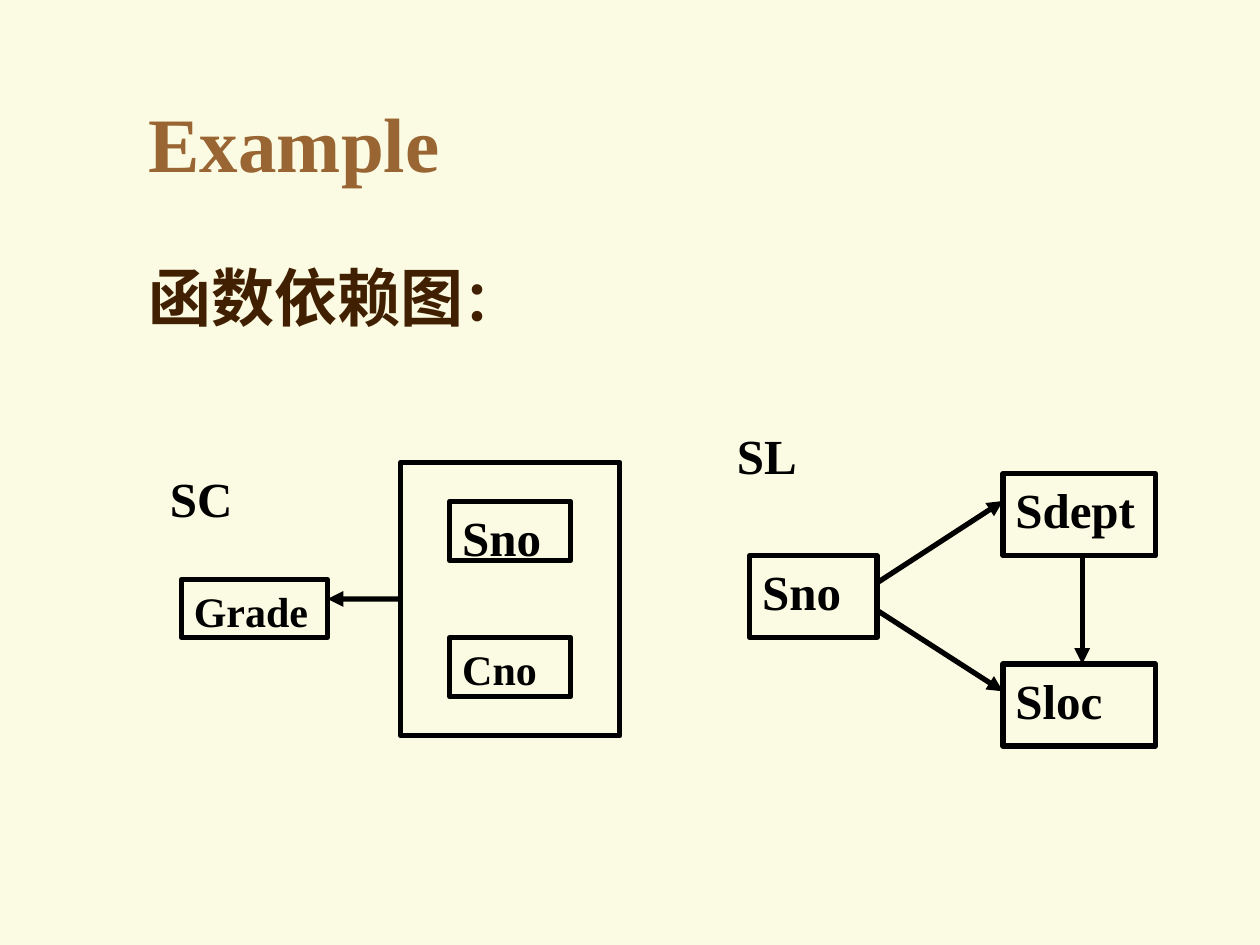
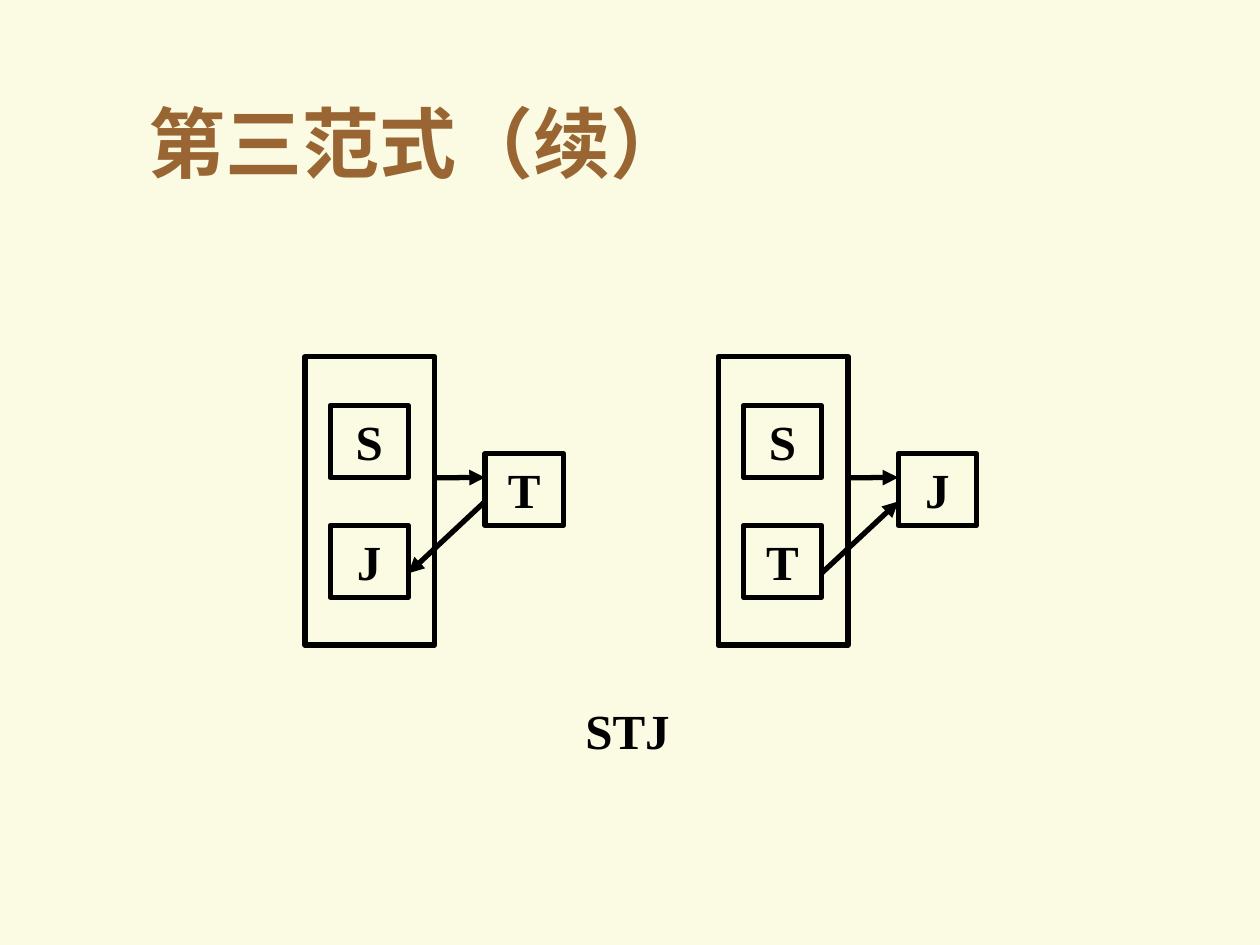
from lxml import etree
from pptx import Presentation
from pptx import util as u
from pptx.dml.color import RGBColor
from pptx.enum import shapes, text
from pptx.oxml.ns import qn

COLORS = {"paper": "FBFAE2", "title": "996633", "body": "402000", "ink": "000000"}
FONT = "Times New Roman"
LINE = 3
SIZE = 28
LEFT, CENTER = text.PP_ALIGN.LEFT, text.PP_ALIGN.CENTER
THIRD = 1 / 3
CONTENT_LEFT, CONTENT_W = 1.08, 8.5

# Content: boxes are name: (text, left, top, width, height, size);
# arrows join (box, share of width, share of height) to another such point
EXAMPLE_TITLE = "Example"
EXAMPLE_BODY = [("函数依赖图", 36), ("：", 32)]
SC = {
    "labels": [("SC", 1.25, 3.67, 0.97, 0.46, SIZE)],
    "boxes": {
        "key": ("", 3.18, 3.67, 1.74, 2.17, SIZE),
        "sno": ("Sno", 3.57, 3.98, 0.96, 0.47, SIZE),
        "cno": ("Cno", 3.57, 5.06, 0.96, 0.47, 24),
        "grade": ("Grade", 1.44, 4.6, 1.16, 0.46, 24),
    },
    "arrows": [(("key", 0, 0.5), ("grade", 1, THIRD))],
}
SL = {
    "labels": [("SL", 5.75, 3.33, 1.21, 0.65, SIZE)],
    "boxes": {
        "sno": ("Sno", 5.95, 4.41, 1.01, 0.65, SIZE),
        "sdept": ("Sdept", 7.96, 3.76, 1.21, 0.65, SIZE),
        "sloc": ("Sloc", 7.96, 5.27, 1.21, 0.65, SIZE),
    },
    "arrows": [
        (("sno", 1, THIRD), ("sdept", 0, THIRD)),
        (("sno", 1, 2 * THIRD), ("sloc", 0, THIRD)),
        (("sdept", 0.52, 1), ("sloc", 0.52, 0)),
    ],
}

THIRD_NF_TITLE = "第三范式（续）"
STJ_LABEL = ("STJ", 4.47, 5.51, 1.02, 0.57, SIZE)
# Frame left, upper key, lower key, dependent, does the dependent determine the lower key
STJ_KEYS = [(2.42, "S", "J", "T", True), (5.7, "S", "T", "J", False)]


def key_diagram(left, upper, lower, dependent, back):
    """Two attributes framed as a key, with a dependent attribute on the right."""
    w, h = 0.62, 0.57
    slant = [("dependent", 0, 2 * THIRD), ("lower", 1, 2 * THIRD)]
    return {
        "labels": [],
        "boxes": {
            "key": ("", left, 2.83, 1.03, 2.29, SIZE),
            "upper": (upper, left + 0.2, 3.22, w, h, SIZE),
            "lower": (lower, left + 0.2, 4.17, w, h, SIZE),
            "dependent": (dependent, left + 1.43, 3.6, w, h, SIZE),
        },
        "arrows": [
            (("key", 1, 0.42), ("dependent", 0, THIRD)),
            slant if back else slant[::-1],
        ],
    }


def inches(*values):
    return [u.Inches(v) for v in values]


def rgb(name):
    return RGBColor.from_string(COLORS[name])


def style(p, size, color, align=LEFT):
    p.alignment = align
    for r in p.runs:
        r.font.name, r.font.size, r.font.bold = FONT, u.Pt(size), True
        r.font.color.rgb = rgb(color)


def write(sp, words, size, align):
    tf = sp.text_frame
    tf.word_wrap = True
    tf.vertical_anchor = text.MSO_ANCHOR.TOP
    tf.text = words
    style(tf.paragraphs[0], size, "ink", align)


def add_label(parent, label, align):
    words, *place, size = label
    write(parent.add_textbox(*inches(*place)), words, size, align)


def add_box(parent, box, align):
    words, *place, size = box
    sp = parent.add_shape(shapes.MSO_SHAPE.RECTANGLE, *inches(*place))
    sp.shadow.inherit = False
    sp.fill.background()
    sp.line.color.rgb = rgb("ink")
    sp.line.width = u.Pt(LINE)
    if words:
        write(sp, words, size, align)


def add_arrow(parent, start, end):
    line = parent.add_connector(shapes.MSO_CONNECTOR.STRAIGHT, *inches(*start, *end))
    line.line.color.rgb = rgb("ink")
    line.line.width = u.Pt(LINE)
    ln = line.line._get_or_add_ln()
    etree.SubElement(ln, qn("a:tailEnd"), type="triangle")
    etree.SubElement(line._element.spPr, qn("a:effectLst"))


def add_diagram(slide, diagram, align):
    parent = slide.shapes.add_group_shape().shapes
    boxes = diagram["boxes"]

    def point(name, across, down):
        _, x, y, w, h, _ = boxes[name]
        return x + across * w, y + down * h

    for box in boxes.values():
        add_box(parent, box, align)
    for start, end in diagram["arrows"]:
        add_arrow(parent, point(*start), point(*end))
    for label in diagram["labels"]:
        add_label(parent, label, align)


def add_slide(prs, words):
    slide = prs.slides.add_slide(prs.slide_layouts[5])
    title = slide.shapes.title
    title.left, title.top, title.width, title.height = inches(
        CONTENT_LEFT, 0.5, CONTENT_W, 1.25)
    title.text_frame.text = words
    title.text_frame.vertical_anchor = text.MSO_ANCHOR.MIDDLE
    style(title.text_frame.paragraphs[0], 44, "title")
    return slide


def main():
    prs = Presentation()
    prs.slide_width, prs.slide_height = inches(10, 7.5)
    fill = prs.slide_master.background.fill
    fill.solid()
    fill.fore_color.rgb = rgb("paper")

    # Dependency diagrams of SC and SL
    slide = add_slide(prs, EXAMPLE_TITLE)
    body = slide.shapes.add_textbox(*inches(CONTENT_LEFT, 2, CONTENT_W, 4.5))
    body.text_frame.word_wrap = True
    p = body.text_frame.paragraphs[0]
    for words, _ in EXAMPLE_BODY:
        p.add_run().text = words
    style(p, SIZE, "body")
    for r, (_, size) in zip(p.runs, EXAMPLE_BODY):
        r.font.size = u.Pt(size)
    for diagram in (SC, SL):
        add_diagram(slide, diagram, LEFT)

    # The two candidate keys of STJ
    slide = add_slide(prs, THIRD_NF_TITLE)
    for key in STJ_KEYS:
        add_diagram(slide, key_diagram(*key), CENTER)
    add_label(slide.shapes, STJ_LABEL, CENTER)

    prs.save("out.pptx")


if __name__ == "__main__":
    main()
